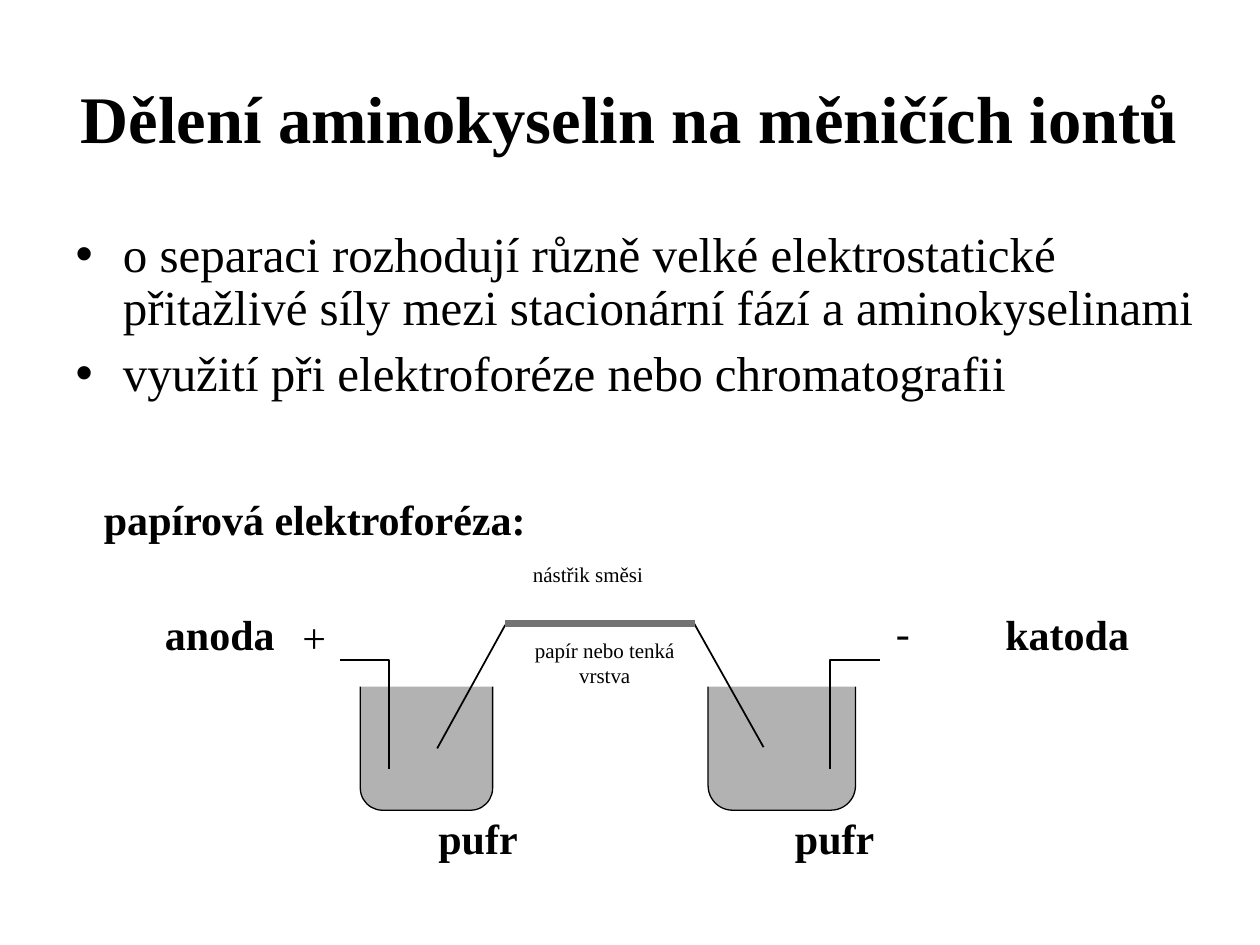
from lxml.etree import SubElement
from pptx import Presentation
from pptx.dml.color import RGBColor
from pptx.enum.shapes import MSO_CONNECTOR, MSO_SHAPE
from pptx.enum.text import MSO_ANCHOR, MSO_AUTO_SIZE, PP_ALIGN
from pptx.oxml.ns import qn
from pptx.util import Inches, Pt

BLACK = RGBColor(0, 0, 0)
WHITE = RGBColor(255, 255, 255)
BUFFER_GRAY = RGBColor(0xB2, 0xB2, 0xB2)
PAPER_GRAY = RGBColor(0x73, 0x73, 0x73)

presentation = Presentation()
presentation.slide_width = Inches(10)
presentation.slide_height = Inches(7.5)
column = presentation.slide_width / 100
row = presentation.slide_height / 75
slide = presentation.slides.add_slide(presentation.slide_layouts[1])


def grid(*lengths):
    return [round(length * (row if index % 2 else column)) for index, length in enumerate(lengths)]


def write(shape, lines, size, bold=False, align=PP_ALIGN.LEFT):
    shape.text_frame.text = "\n".join(lines)
    shape.text_frame.word_wrap = True
    shape.text_frame.auto_size = MSO_AUTO_SIZE.NONE
    font_values = {"name": "Times New Roman", "size": Pt(size), "bold": bold}
    for paragraph in shape.text_frame.paragraphs:
        paragraph.alignment = align
        paragraph.space_before = Pt(0)
        for run in paragraph.runs:
            for name, value in font_values.items():
                setattr(run.font, name, value)
            run.font.color.rgb = BLACK


title = slide.shapes.title
body = slide.placeholders[1]
for placeholder, place in ((title, (5, 3, 90, 12.5)), (body, (5, 17.8, 92.3, 18))):
    placeholder.left, placeholder.top, placeholder.width, placeholder.height = grid(*place)

write(title, ["Dělení aminokyselin na měničích iontů"], 38, True, PP_ALIGN.CENTER)
title.text_frame.vertical_anchor = MSO_ANCHOR.MIDDLE
write(body, [
    "o separaci rozhodují různě velké elektrostatické přitažlivé síly mezi stacionární fází a aminokyselinami",
    "využití při elektroforéze nebo chromatografii",
], 28)
for paragraph in body.text_frame.paragraphs:
    paragraph.line_spacing = 0.9
body.text_frame.paragraphs[1].space_before = Pt(7)

beakers = [
    ((28.6, 50.4, 10.5, 13.9), (27.9, 49.3, 12.6, 5.2)),
    ((56.2, 50.4, 11.7, 13.9), (55, 49.3, 14.1, 5.2)),
]
for beaker_place, cover_place in beakers:
    beaker = slide.shapes.add_shape(MSO_SHAPE.ROUNDED_RECTANGLE, *grid(*beaker_place))
    cover = slide.shapes.add_shape(MSO_SHAPE.RECTANGLE, *grid(*cover_place))
    for shape, color in ((beaker, BUFFER_GRAY), (cover, WHITE)):
        shape.shadow.inherit = False
        shape.fill.solid()
        shape.fill.fore_color.rgb = color
    beaker.line.color.rgb = BLACK
    beaker.line.width = Pt(0.75)
    cover.line.fill.background()

paper_strip = [
    ((55.1, 49.5, 60.6, 59.3), BLACK, 1),
    ((40.1, 49.6, 34.7, 59.4), BLACK, 1),
    ((40.1, 49.5, 55.2, 49.5), PAPER_GRAY, 4),
]
for ends, color, width in paper_strip:
    connector = slide.shapes.add_connector(MSO_CONNECTOR.STRAIGHT, *grid(*ends))
    connector.line.color.rgb = color
    connector.line.width = Pt(width)
    SubElement(connector._element.spPr, qn("a:effectLst"))

for outer, inner in ((27, 30.9), (69.8, 65.9)):
    builder = slide.shapes.build_freeform(*grid(outer, 52.4))
    builder.add_line_segments([grid(inner, 52.4), grid(inner, 61)], close=False)
    electrode = builder.convert_to_shape()
    electrode.shadow.inherit = False
    electrode.fill.background()
    electrode.line.color.rgb = BLACK
    electrode.line.width = Pt(1)

labels = [
    ("papírová elektroforéza:", (8.25, 39.2, 40, 4), 24, True, PP_ALIGN.LEFT),
    ("anoda", (13.1, 48.3, 10, 4), 24, True, PP_ALIGN.LEFT),
    ("katoda", (79.8, 48.3, 12, 4), 24, True, PP_ALIGN.LEFT),
    ("pufr", (34.8, 64.5, 8, 4), 24, True, PP_ALIGN.LEFT),
    ("pufr", (63.1, 64.5, 8, 4), 24, True, PP_ALIGN.LEFT),
    ("papír nebo tenká vrstva", (41.5, 50.6, 13, 7.3), 12, False, PP_ALIGN.CENTER),
    ("nástřik směsi", (42.3, 44.6, 16.3, 5.2), 12, False, PP_ALIGN.LEFT),
    ("+", (24, 48.5, 3.7, 7.1), 24, False, PP_ALIGN.LEFT),
    ("-", (71.1, 48.1, 4.9, 7.3), 24, False, PP_ALIGN.LEFT),
]
for text, place, size, bold, align in labels:
    label = slide.shapes.add_textbox(*grid(*place))
    for side in ("left", "top", "right", "bottom"):
        setattr(label.text_frame, f"margin_{side}", 0)
    write(label, [text], size, bold, align)

presentation.save("out.pptx")
